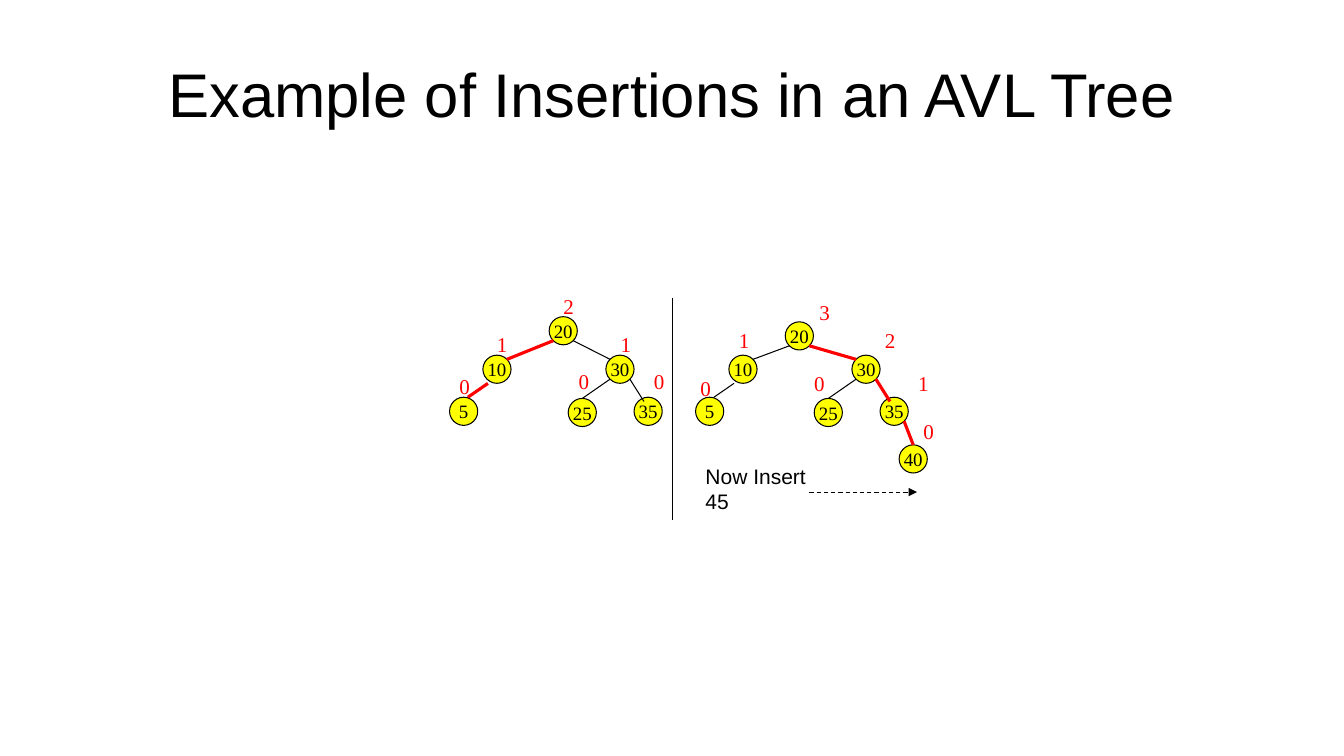
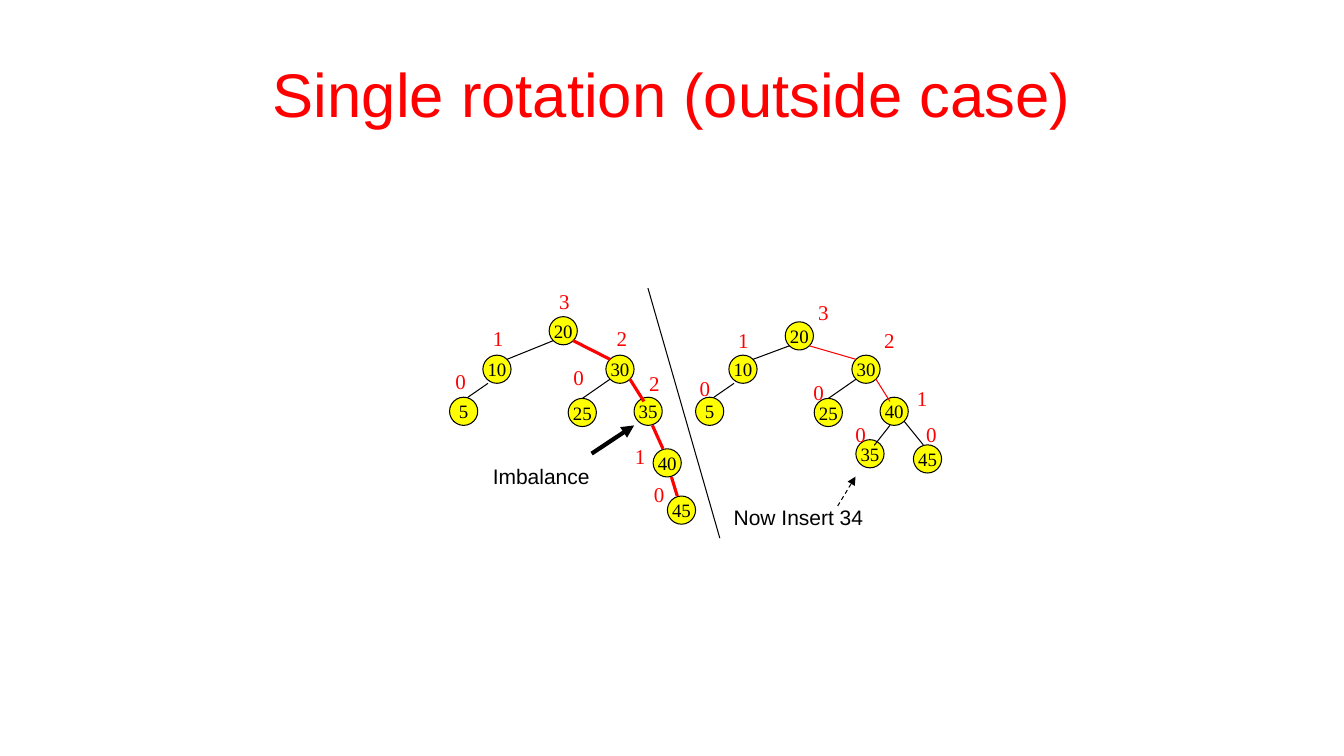
from dataclasses import dataclass

from lxml import etree
from pptx import Presentation
from pptx import util as u
from pptx.dml import color
from pptx.enum import dml, shapes, text
from pptx.oxml import ns


@dataclass(frozen=True)
class Theme:
    black: str = "000000"
    red: str = "FF0000"
    yellow: str = "FFFF00"
    sans: str = "Arial"
    serif: str = "Times New Roman"
    title_size: float = 44
    note_size: float = 15
    height_size: float = 15
    key_size: float = 13.5
    thin: float = 0.75
    bold: float = 2.25
    heavy: float = 3
    circle: float = 0.71


@dataclass(frozen=True)
class Slot:
    x: float
    y: float
    parent: str = ""
    start: tuple = ()
    end: tuple = ()


@dataclass(frozen=True)
class Node:
    key: int
    height: int
    label_x: float
    label_y: float
    stroke: tuple = ()


THEME = Theme()
PLAIN = (THEME.black, THEME.thin)
MARKED = (THEME.red, THEME.bold)
RED_THIN = (THEME.red, THEME.thin)
HEAVY = (THEME.black, THEME.heavy)

UPPER_LEFT, UPPER_RIGHT = (0.15, 0.15), (0.85, 0.15)
LOWER_LEFT, LOWER_RIGHT = (0.15, 0.85), (0.85, 0.85)
TOP, TOP_LEFT, TOP_RIGHT = (0.5, 0), (0.35, 0), (0.65, 0)
BOTTOM_LEFT, BOTTOM_RIGHT = (0.35, 1), (0.65, 1)

LEFT_SLOTS = {
    "root": Slot(2.51, 0),
    "left": Slot(0.84, 0.97, "root", LOWER_LEFT, UPPER_RIGHT),
    "right": Slot(3.94, 0.97, "root", LOWER_RIGHT, UPPER_LEFT),
    "left left": Slot(0, 2.03, "left", (0.18, 1), TOP_RIGHT),
    "right left": Slot(2.99, 2.06, "right", LOWER_LEFT, TOP),
    "right right": Slot(4.65, 2.03, "right", LOWER_RIGHT, (0.35, 0.15)),
    "chain": Slot(5.13, 3.33, "right right", BOTTOM_RIGHT, TOP_LEFT),
    "chain end": Slot(5.49, 4.52, "chain", BOTTOM_RIGHT, TOP_LEFT),
}
RIGHT_SLOTS = {
    **LEFT_SLOTS,
    "root": Slot(2.26, 0.13),
    "chain": Slot(5.13, 3.23, "right right", LOWER_RIGHT, TOP),
    "inner": Slot(4.04, 3.1, "right right", BOTTOM_LEFT, (0.65, 0.2)),
    "outer": Slot(5.49, 3.23, "right right", LOWER_RIGHT, TOP_LEFT),
}
LEFT_TREE_AT = (11.33, 7.98)
RIGHT_TREE_AT = (17.53, 7.98)

BALANCED_TREE = {
    "root": Node(20, 2, 2.62, -0.71),
    "left": Node(10, 1, 0.94, 0.25, MARKED),
    "right": Node(30, 1, 4.06, 0.25, PLAIN),
    "left left": Node(5, 0, 0, 1.32, MARKED),
    "right left": Node(25, 0, 3, 1.19, PLAIN),
    "right right": Node(35, 0, 4.9, 1.19, PLAIN),
}
AFTER_40_TREE = {
    "root": Node(20, 3, 2.87, -0.56),
    "left": Node(10, 1, 0.84, 0.15, PLAIN),
    "right": Node(30, 2, 4.52, 0.15, MARKED),
    "left left": Node(5, 0, -0.13, 1.35, PLAIN),
    "right left": Node(25, 0, 2.74, 1.24, PLAIN),
    "right right": Node(35, 1, 5.36, 1.24, MARKED),
    "chain": Node(40, 0, 5.49, 2.44, MARKED),
}
IMBALANCED_TREE = {
    "root": Node(20, 3, 2.51, -0.84),
    "left": Node(10, 1, 0.84, 0.1, PLAIN),
    "right": Node(30, 2, 3.96, 0.1, MARKED),
    "left left": Node(5, 0, -0.1, 1.17, PLAIN),
    "right left": Node(25, 0, 2.87, 1.07, PLAIN),
    "right right": Node(35, 2, 4.78, 1.24, MARKED),
    "chain": Node(40, 1, 4.42, 3.07, MARKED),
    "chain end": Node(45, 0, 4.9, 4.04, MARKED),
}
ROTATED_TREE = {
    "root": Node(20, 3, 2.84, -0.56),
    "left": Node(10, 1, 0.82, 0.15, PLAIN),
    "right": Node(30, 2, 4.5, 0.15, RED_THIN),
    "left left": Node(5, 0, -0.15, 1.35, PLAIN),
    "right left": Node(25, 0, 2.72, 1.47, PLAIN),
    "right right": Node(40, 1, 5.33, 1.6, RED_THIN),
    "inner": Node(35, 0, 3.78, 2.51, PLAIN),
    "outer": Node(45, 0, 5.56, 2.51, PLAIN),
}


def rgb(value):
    return color.RGBColor.from_string(value)


def write(shape, words, font_name, size, ink, centred=False, wrap=True):
    frame = shape.text_frame
    frame.text = words
    frame.word_wrap = wrap
    if centred:
        frame.vertical_anchor = text.MSO_ANCHOR.MIDDLE
    paragraph = frame.paragraphs[0]
    paragraph.alignment = text.PP_ALIGN.CENTER if centred else text.PP_ALIGN.LEFT
    font = paragraph.runs[0].font
    font.name = font_name
    font.size = u.Pt(size)
    font.color.rgb = rgb(ink)


def add_text(slide, box, *style, **options):
    shape = slide.shapes.add_textbox(*map(u.Cm, box))
    write(shape, *style, **options)


def add_line(slide, start, end, stroke, arrow=False, dashed=False):
    ink, width = stroke
    line = slide.shapes.add_connector(
        shapes.MSO_CONNECTOR.STRAIGHT, *map(u.Cm, (*start, *end)))
    line.line.color.rgb = rgb(ink)
    line.line.width = u.Pt(width)
    if dashed:
        line.line.dash_style = dml.MSO_LINE.DASH
    if arrow:
        etree.SubElement(line.line._get_or_add_ln(), ns.qn("a:tailEnd"), type="triangle")
    etree.SubElement(line._element.spPr, ns.qn("a:effectLst"))


def add_circle(slide, left, top, key):
    size = THEME.circle
    circle = slide.shapes.add_shape(
        shapes.MSO_SHAPE.OVAL, *map(u.Cm, (left, top, size, size)))
    circle.shadow.inherit = False
    circle.fill.solid()
    circle.fill.fore_color.rgb = rgb(THEME.yellow)
    circle.line.color.rgb = rgb(THEME.black)
    circle.line.width = u.Pt(THEME.thin)
    frame = circle.text_frame
    frame.margin_left = frame.margin_right = frame.margin_top = frame.margin_bottom = 0
    write(circle, str(key), THEME.serif, THEME.key_size, THEME.black,
          centred=True, wrap=False)


def add_tree(slide, origin, slots, tree):
    left, top = origin

    def port(slot, fraction):
        return (left + slot.x + fraction[0] * THEME.circle,
                top + slot.y + fraction[1] * THEME.circle)

    for name, node in tree.items():
        add_circle(slide, left + slots[name].x, top + slots[name].y, node.key)
    for name, node in tree.items():
        slot = slots[name]
        if slot.parent:
            add_line(slide, port(slots[slot.parent], slot.start),
                     port(slot, slot.end), node.stroke)
        add_text(slide, (left + node.label_x, top + node.label_y, 0.76, 0.89),
                 str(node.height), THEME.serif, THEME.height_size, THEME.red, wrap=False)


def add_note(slide, box, words, start, end, stroke=PLAIN, dashed=True):
    left, top = box[:2]
    add_text(slide, box, words, THEME.sans, THEME.note_size, THEME.black)
    add_line(slide, (left + start[0], top + start[1]), (left + end[0], top + end[1]),
             stroke, arrow=True, dashed=dashed)


def add_comparison_slide(presentation, title, ink, left_tree, right_tree, divider):
    slide = presentation.slides.add_slide(presentation.slide_layouts[6])
    add_text(slide, (1.7, 0.76, 30.48, 3.18), title, THEME.sans, THEME.title_size,
             ink, centred=True)
    add_tree(slide, LEFT_TREE_AT, LEFT_SLOTS, left_tree)
    add_tree(slide, RIGHT_TREE_AT, RIGHT_SLOTS, right_tree)
    add_line(slide, *divider, PLAIN)
    return slide


def main():
    presentation = Presentation()
    presentation.slide_width = u.Cm(33.87)
    presentation.slide_height = u.Cm(19.05)

    insertion = add_comparison_slide(
        presentation, "Example of Insertions in an AVL Tree", THEME.black,
        BALANCED_TREE, AFTER_40_TREE, ((16.94, 7.5), (16.94, 13.1)))
    add_note(insertion, (17.53, 11.56, 3.68, 1.52), "Now Insert 45",
             (2.87, 0.84), (5.58, 0.84))

    rotation = add_comparison_slide(
        presentation, "Single rotation (outside case)", THEME.red,
        IMBALANCED_TREE, ROTATED_TREE, ((16.33, 7.26), (18.14, 13.56)))
    add_note(rotation, (12.17, 11.56, 3.1, 0.89), "Imbalance",
             (2.74, -0.13), (3.81, -0.84), HEAVY, dashed=False)
    add_note(rotation, (18.24, 12.6, 4.04, 0.89), "Now Insert 34",
             (2.87, 0.15), (3.32, -0.59))

    presentation.save("out.pptx")


if __name__ == "__main__":
    main()
